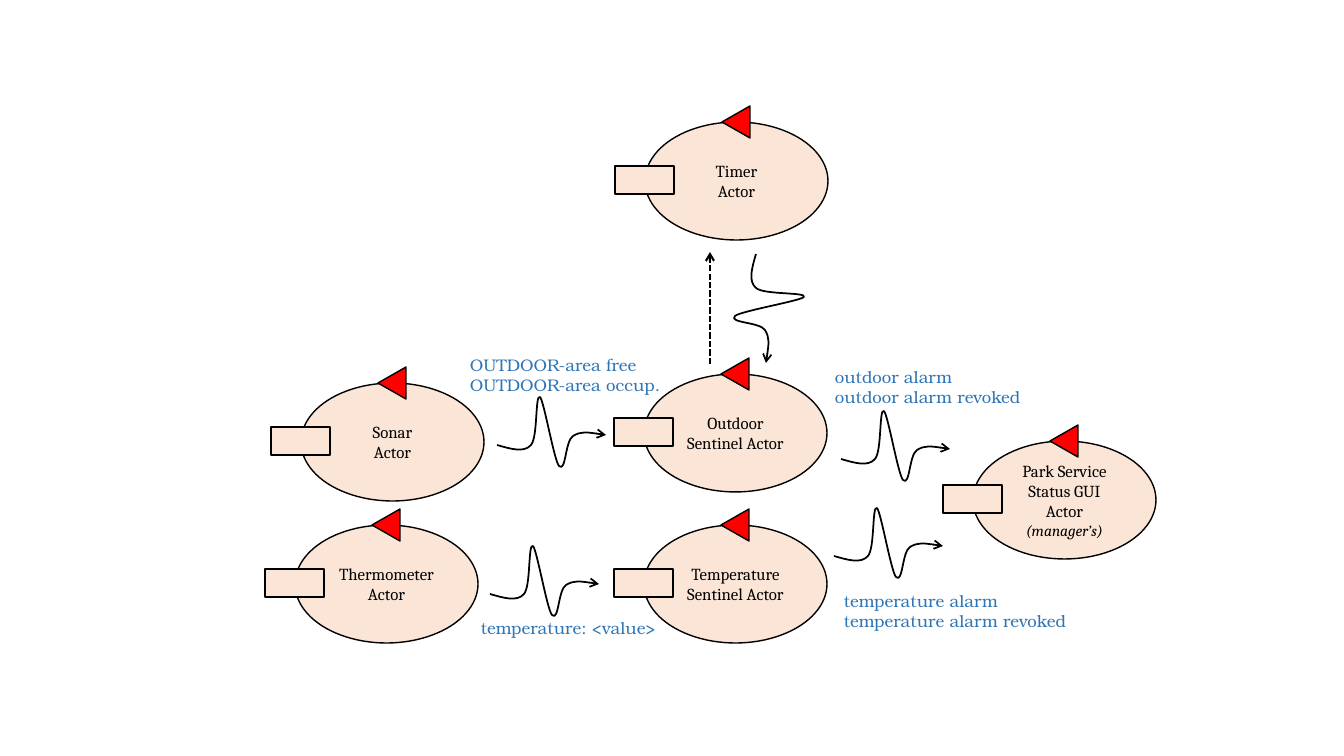
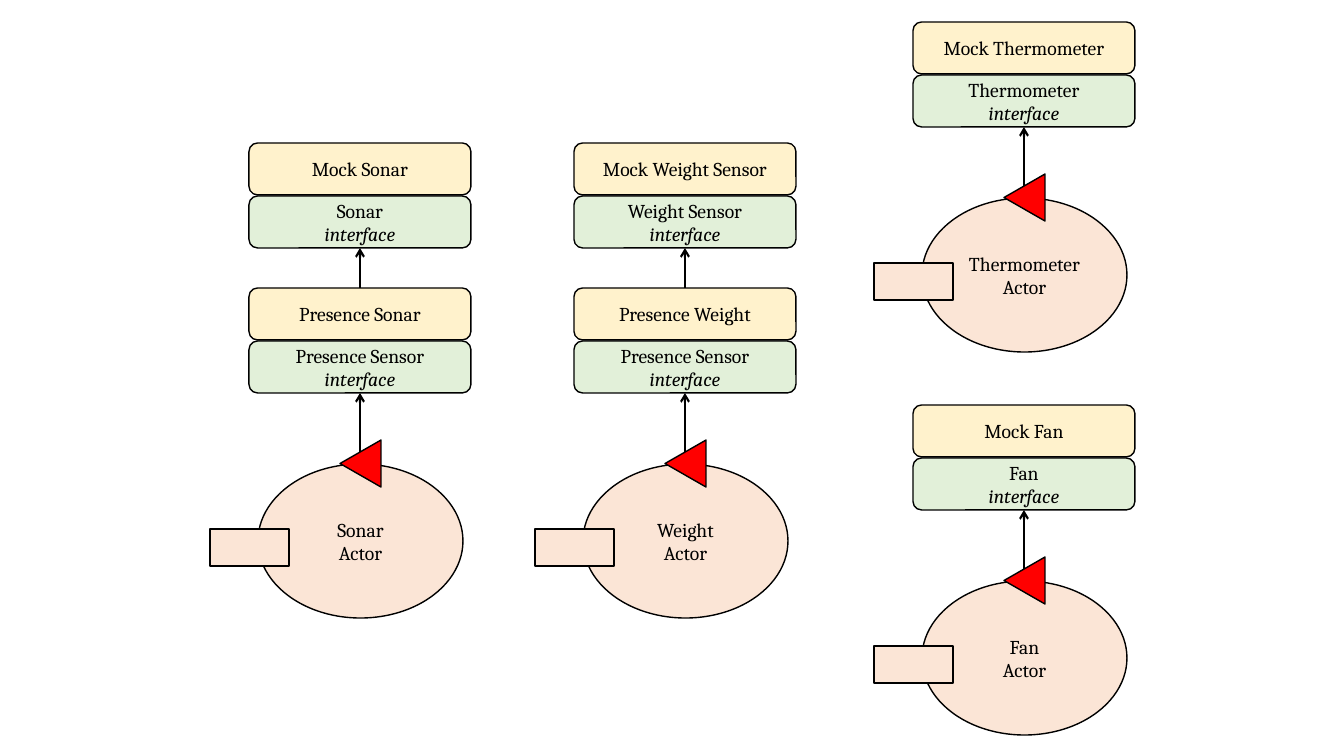
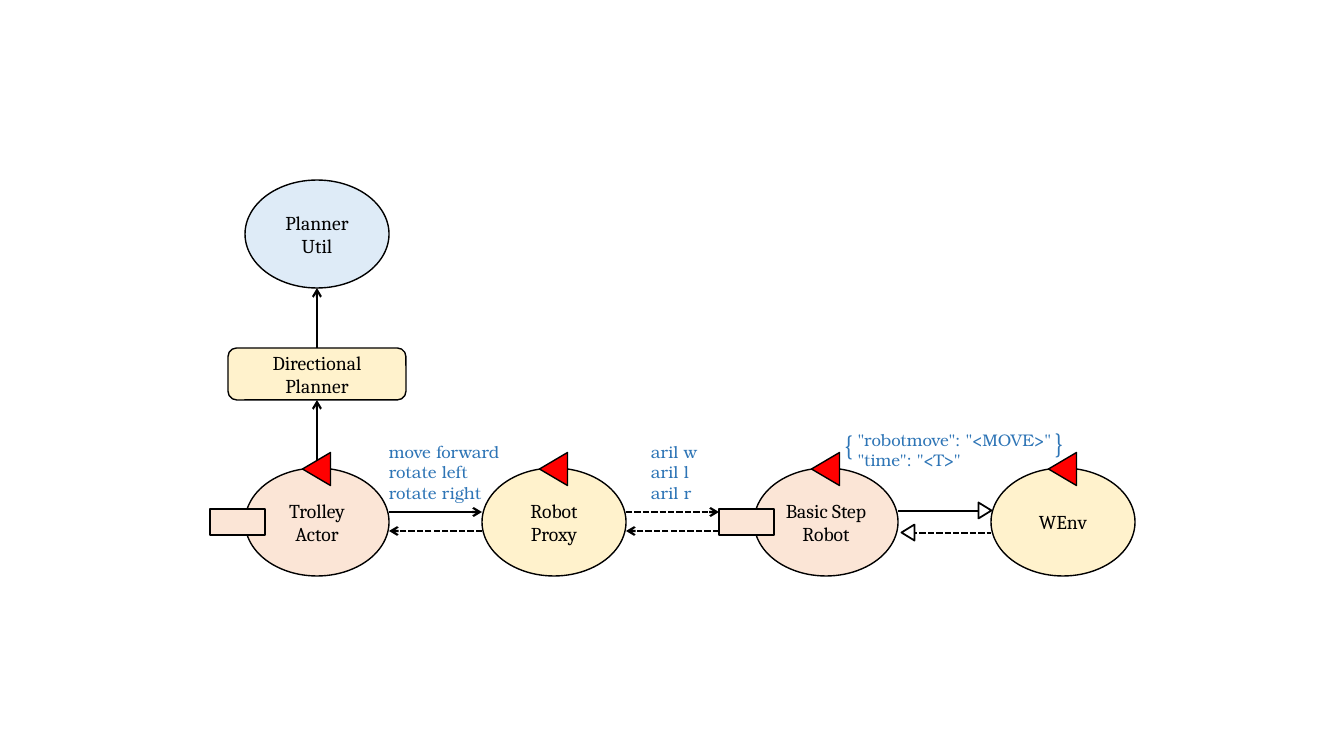
from dataclasses import dataclass

from lxml.etree import SubElement
from pptx import Presentation
from pptx.dml.color import RGBColor
from pptx.enum.dml import MSO_LINE
from pptx.enum.shapes import MSO_CONNECTOR, MSO_SHAPE
from pptx.enum.text import MSO_ANCHOR, MSO_AUTO_SIZE, PP_ALIGN
from pptx.oxml.ns import qn
from pptx.util import Pt

PIXEL = 914400 / 100.8


@dataclass(frozen=True)
class Theme:
    ink: str = "000000"
    paper: str = "FFFFFF"
    actor: str = "FBE5D6"
    flag: str = "FF0000"
    device: str = "FFF2CC"
    interface: str = "E2F0D9"
    utility: str = "DEEBF7"
    message: str = "2E75B6"
    shape_font: str = "Cambria"
    message_font: str = "TeX Gyre Bonum"
    small: int = 12
    note: int = 11
    medium: int = 14
    brace: int = 20
    outline: float = 1
    pulse: float = 1.25
    arrow: float = 1.5


@dataclass(frozen=True)
class ActorStyle:
    width: int
    height: int
    flag: tuple
    port: tuple
    text_size: int


THEME = Theme()
SIGNAL_ACTOR = ActorStyle(183, 118, (75, -14, 32, 28), (-30, 44, 59, 28), THEME.small)
DEVICE_ACTOR = ActorStyle(205, 154, (79, -21, 47, 41), (-48, 65, 79, 37), THEME.medium)
ROBOT_ACTOR = ActorStyle(144, 108, (55, -13, 33, 28), (-35, 41, 55, 26), THEME.medium)

CARD_WIDTH, CARD_HEIGHT, CARD_STEP = 222, 52, 53
PULSE = [
    (0, 0),
    (14, 4), (27, 8), (34, 0),
    (41, -8), (38, -51), (43, -48),
    (47, -44), (57, 15), (62, 21),
    (69, 28), (68, -4), (76, -9),
    (84, -14), (96, -12), (109, -10),
]


def emu(*pixels):
    return [round(value * PIXEL) for value in pixels]


def colour(code):
    return RGBColor.from_string(code)


def draw_line(line, width):
    line.color.rgb = colour(THEME.ink)
    line.width = Pt(width)


def add_arrowhead(shape):
    SubElement(shape.element.spPr.find(qn("a:ln")), qn("a:tailEnd"), type="arrow")


def style_para(para, font, size, code):
    para.font.name = font
    para.font.size = Pt(size)
    para.font.color.rgb = colour(code)


def add_box(page, kind, box, fill, rotation=0, outline=THEME.outline):
    shape = page.shapes.add_shape(kind, *emu(*box))
    shape.shadow.inherit = False
    shape.rotation = rotation
    shape.fill.solid()
    shape.fill.fore_color.rgb = colour(fill)
    draw_line(shape.line, outline)
    return shape


def write_centred(shape, lines, size, note="", note_size=None):
    frame = shape.text_frame
    frame.word_wrap = True
    frame.vertical_anchor = MSO_ANCHOR.MIDDLE
    frame.text = "\n".join([*lines, note] if note else lines)
    for para in frame.paragraphs:
        para.alignment = PP_ALIGN.CENTER
        style_para(para, THEME.shape_font, size, THEME.ink)
    if note:
        para.font.italic = True
        para.font.size = Pt(note_size or size)


def add_message(page, box, lines, size=THEME.small):
    frame = page.shapes.add_textbox(*emu(*box)).text_frame
    frame.word_wrap = False
    frame.auto_size = MSO_AUTO_SIZE.SHAPE_TO_FIT_TEXT
    frame.text = "\n".join(lines)
    for para in frame.paragraphs:
        style_para(para, THEME.message_font, size, THEME.message)


def add_arrow(page, start, end, dashed=False, head=True):
    arrow = page.shapes.add_connector(MSO_CONNECTOR.STRAIGHT, *emu(*start, *end))
    draw_line(arrow.line, THEME.arrow)
    if dashed:
        arrow.line.dash_style = MSO_LINE.SQUARE_DOT
    if head:
        add_arrowhead(arrow)
    SubElement(arrow.element.spPr, qn("a:effectLst"))


def add_pulse(page, left, top, downward=False):
    points = [(left - y, top + x) if downward else (left + x, top + y) for x, y in PULSE]
    builder = page.shapes.build_freeform(*points[0], scale=PIXEL)
    builder.add_line_segments(points[1:], close=False)
    pulse = builder.convert_to_shape()
    pulse.shadow.inherit = False
    pulse.fill.background()
    draw_line(pulse.line, THEME.pulse)
    add_arrowhead(pulse)
    outline = next(pulse.element.iter(qn("a:path")))
    segments = outline.findall(qn("a:lnTo"))
    for first in range(0, len(segments), 3):
        curve = SubElement(outline, qn("a:cubicBezTo"))
        for segment in segments[first:first + 3]:
            curve.append(segment[0])
            outline.remove(segment)


def add_actor(page, style, left, top, lines, fill=THEME.actor, port=True, flag=True, note=""):
    def inside(box):
        x, y, width, height = box
        return left + x, top + y, width, height

    body = add_box(page, MSO_SHAPE.OVAL, (left, top, style.width, style.height), fill)
    write_centred(body, lines, style.text_size, note, THEME.note)
    if flag:
        add_box(page, MSO_SHAPE.ISOSCELES_TRIANGLE, inside(style.flag), THEME.flag, 270)
    if port:
        add_box(page, MSO_SHAPE.RECTANGLE, inside(style.port), fill)


def add_card(page, box, lines, fill, note=""):
    card = add_box(page, MSO_SHAPE.ROUNDED_RECTANGLE, box, fill)
    write_centred(card, lines, THEME.medium, note)


def add_device_stack(page, left, top, name, layers):
    add_actor(page, DEVICE_ACTOR, left, top, [name, "Actor"])
    centre = left + DEVICE_ACTOR.width // 2
    arrow_start = top - 12
    card_top = top - 176
    for device, interface in layers:
        interface_top = card_top + CARD_STEP
        add_arrow(page, (centre, arrow_start), (centre, interface_top + CARD_HEIGHT))
        add_card(page, (left - 9, interface_top, CARD_WIDTH, CARD_HEIGHT),
                 [interface], THEME.interface, "interface")
        add_card(page, (left - 9, card_top, CARD_WIDTH, CARD_HEIGHT), [device], THEME.device)
        arrow_start = card_top
        card_top -= 145


def build_signals(page):
    actors = [
        (644, 525, ["Temperature Sentinel Actor"], ""),
        (644, 374, ["Outdoor Sentinel Actor"], ""),
        (645, 122, ["Timer", "Actor"], ""),
        (301, 383, ["Sonar", "Actor"], ""),
        (295, 525, ["Thermometer", "Actor"], ""),
        (973, 441, ["Park Service Status GUI Actor"], "(manager’s)"),
    ]
    for left, top, lines, note in actors:
        add_actor(page, SIGNAL_ACTOR, left, top, lines, note=note)
    add_arrow(page, (710, 364), (710, 252), dashed=True)
    add_pulse(page, 756, 254, downward=True)
    for left, top in [(497, 445), (490, 594), (841, 459), (834, 556)]:
        add_pulse(page, left, top)
    add_message(page, (460, 350, 214, 50), ["OUTDOOR-area free", "OUTDOOR-area occup."])
    add_message(page, (471, 613, 198, 30), ["temperature: <value>"])
    add_message(page, (825, 362, 209, 50), ["outdoor alarm", "outdoor alarm revoked"])
    add_message(page, (834, 586, 246, 50), ["temperature alarm", "temperature alarm revoked"])


def build_devices(page):
    stacks = [
        (922, 198, "Thermometer", [("Mock Thermometer", "Thermometer")]),
        (922, 581, "Fan", [("Mock Fan", "Fan")]),
        (258, 464, "Sonar",
         [("Presence Sonar", "Presence Sensor"), ("Mock Sonar", "Sonar")]),
        (583, 464, "Weight",
         [("Presence Weight", "Presence Sensor"), ("Mock Weight Sensor", "Weight Sensor")]),
    ]
    for stack in stacks:
        add_device_stack(page, *stack)


def build_robot(page):
    robots = [
        (245, "Trolley Actor", THEME.actor, True),
        (482, "Robot Proxy", THEME.device, False),
        (754, "Basic Step Robot", THEME.actor, True),
        (991, "WEnv", THEME.device, False),
    ]
    for left, name, fill, port in robots:
        add_actor(page, ROBOT_ACTOR, left, 468, [name], fill, port)
    add_actor(page, ROBOT_ACTOR, 245, 180, ["Planner Util"], THEME.utility, False, False)
    add_arrow(page, (317, 460), (317, 400))
    add_card(page, (228, 348, 178, CARD_HEIGHT), ["Directional Planner"], THEME.device)
    add_arrow(page, (317, 348), (317, 288))

    for start, end, dashed in [(389, 482, False), (626, 719, True)]:
        add_arrow(page, (start, 512), (end, 512), dashed)
        add_arrow(page, (end, 531), (start, 531), dashed=True)
    add_arrow(page, (898, 511), (978, 511), head=False)
    add_arrow(page, (911, 533), (991, 533), dashed=True, head=False)
    for left, top, rotation in [(977, 504, 90), (900, 526, 270)]:
        add_box(page, MSO_SHAPE.ISOSCELES_TRIANGLE, (left, top, 16, 13),
                THEME.paper, rotation, THEME.pulse)

    add_message(page, (379, 437, 133, 72), ["move forward", "rotate left", "rotate right"])
    add_message(page, (641, 437, 67, 72), ["aril w", "aril l", "aril r"])
    add_message(page, (848, 425, 217, 50), ['"robotmove": "<MOVE>"', '"time": "<T>"'])
    add_message(page, (835, 424, 28, 44), ["{"], THEME.brace)
    add_message(page, (1045, 422, 28, 44), ["}"], THEME.brace)


deck = Presentation()
deck.slide_width, deck.slide_height = emu(1344, 756)
for build in (build_signals, build_devices, build_robot):
    build(deck.slides.add_slide(deck.slide_layouts[6]))
deck.save("out.pptx")
